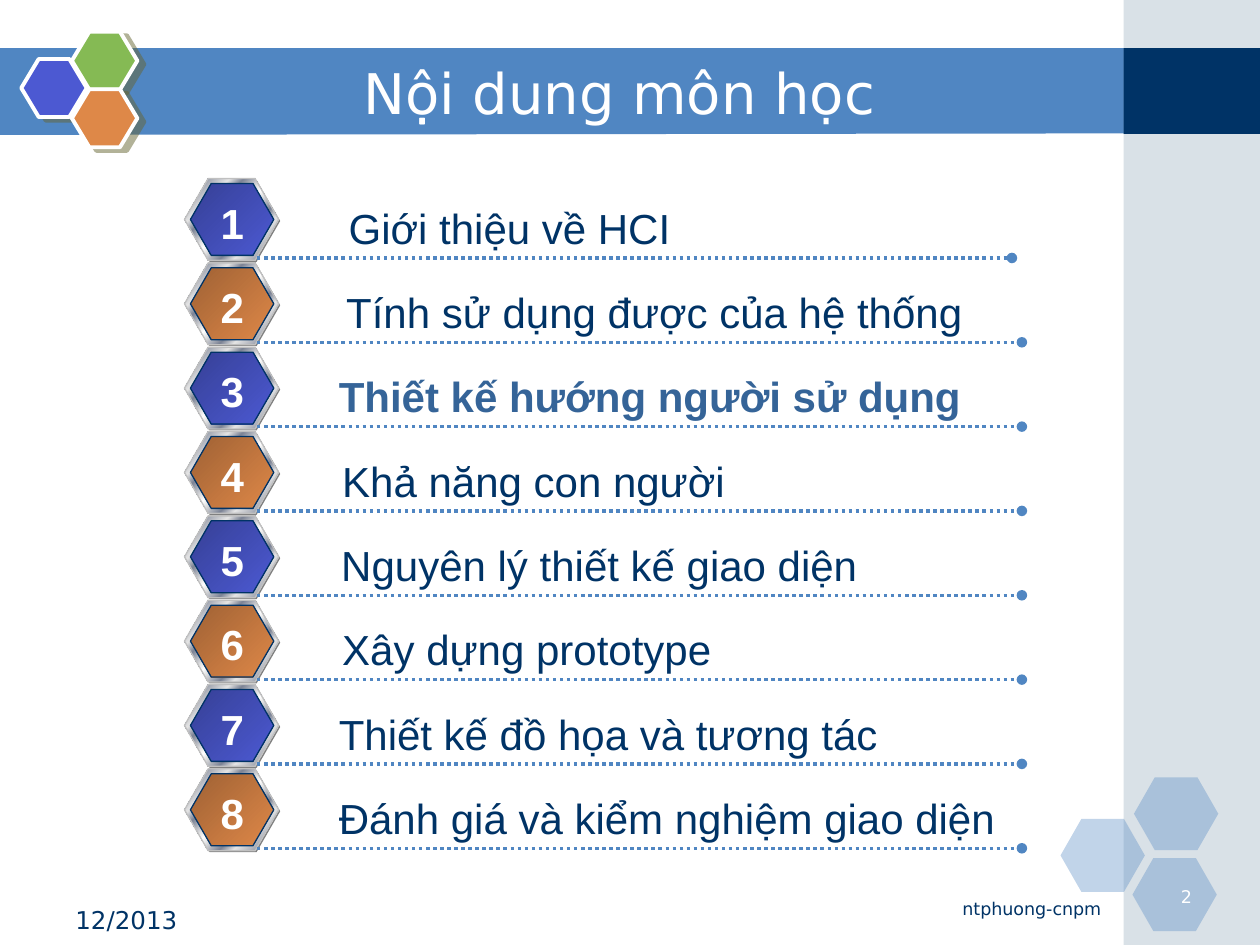
from dataclasses import dataclass

from lxml import etree
from pptx import Presentation
from pptx.dml.color import RGBColor
from pptx.enum.dml import MSO_LINE
from pptx.enum.shapes import MSO_CONNECTOR, MSO_SHAPE
from pptx.enum.text import MSO_ANCHOR, MSO_AUTO_SIZE, PP_ALIGN
from pptx.oxml.ns import qn
from pptx.util import Cm, Pt

HEXAGON, RECTANGLE = MSO_SHAPE.HEXAGON, MSO_SHAPE.RECTANGLE
STRAIGHT, DOTTED = MSO_CONNECTOR.STRAIGHT, MSO_LINE.ROUND_DOT
LEFT, CENTER, RIGHT = PP_ALIGN.LEFT, PP_ALIGN.CENTER, PP_ALIGN.RIGHT
TOP, MIDDLE = MSO_ANCHOR.TOP, MSO_ANCHOR.MIDDLE
FIT_SHAPE, NO_FIT = MSO_AUTO_SIZE.SHAPE_TO_FIT_TEXT, MSO_AUTO_SIZE.NONE
TITLE_ONLY = 5


@dataclass(frozen=True)
class Theme:
    navy: str = "003366"
    blue: str = "5086C2"
    highlight: str = "356498"
    white: str = "FFFFFF"
    panel: str = "A0B5C4"
    indigo: str = "4C59D2"
    green: str = "85BA54"
    orange: str = "DE8848"
    shadow: str = "666633"
    badge_back: str = "808080"
    badge_rim: str = "C0C0C0"
    indigo_fade: tuple = ((0, "364096"), (100, "4C59D2"))
    orange_fade: tuple = ((0, "9F6134"), (100, "DE8848"))
    metal: tuple = (
        (0, "E6E6E6"), (8, "7D8496"), (26, "E6E6E6"), (34, "7D8496"),
        (46, "E6E6E6"), (50, "FFFFFF"), (54, "E6E6E6"), (66, "7D8496"),
        (74, "E6E6E6"), (93, "7D8496"), (100, "E6E6E6"),
    )
    heading_font: str = "DejaVu Sans"
    list_font: str = "Arial"
    title_size: int = 32
    list_size: int = 24
    date_size: int = 14
    small_size: int = 10


THEME = Theme()

# Topic, left and width of its label in cm
TOPICS = [
    ("Giới thiệu về HCI", 6.78, 7.06),
    ("Tính sử dụng được của hệ thống", 6.73, 13.06),
    ("Thiết kế hướng người sử dụng", 6.58, 13.16),
    ("Khả năng con người", 6.65, 8.31),
    ("Nguyên lý thiết kế giao diện", 6.63, 11.02),
    ("Xây dựng prototype", 6.65, 8.26),
    ("Thiết kế đồ họa và tương tác", 6.58, 11.48),
    ("Đánh giá và kiểm nghiệm giao diện", 6.58, 13.89),
]
CURRENT_TOPIC = 3
ROW_TOP, ROW_PITCH = 3.6, 1.7


def set_values(target, values):
    for name, value in values.items():
        setattr(target, name, value)


def add_xml(parent, tag, **attributes):
    child = etree.SubElement(parent, qn(tag))
    for name, value in attributes.items():
        child.set(name, str(value))
    return child


def paint(shape, fill, line=None, alpha=None):
    """Fill with one colour or with gradient stops, then set the outline."""
    properties = shape.element.spPr
    if isinstance(fill, str):
        shape.fill.solid()
        shape.fill.fore_color.rgb = RGBColor.from_string(fill)
        if alpha is not None:
            add_xml(next(properties.iter(qn("a:srgbClr"))), "a:alpha", val=alpha * 1000)
    else:
        shape.fill.gradient()
        shape.fill.gradient_angle = 315
        stops = next(properties.iter(qn("a:gsLst")))
        stops.clear()
        for position, colour in fill:
            stop = add_xml(stops, "a:gs", pos=position * 1000)
            add_xml(stop, "a:srgbClr", val=colour)
    if line:
        colour, width = line
        shape.line.color.rgb = RGBColor.from_string(colour)
        shape.line.width = Pt(width)
    else:
        shape.line.fill.background()
    shape.shadow.inherit = False


def add_block(shapes, kind, bounds, fill, line=None, alpha=None, corner=None):
    shape = shapes.add_shape(kind, *map(Cm, bounds))
    if corner is not None:
        shape.adjustments[0] = corner
    paint(shape, fill, line, alpha)
    return shape


def write(box, text, size, font, colour, align=LEFT, bold=False, wrap=True,
          anchor=TOP, fit=NO_FIT):
    frame = box.text_frame
    set_values(frame, {"word_wrap": wrap, "auto_size": fit, "vertical_anchor": anchor})
    para = frame.paragraphs[0]
    para.alignment = align
    span = para.add_run()
    span.text = text
    set_values(span.font, {"size": Pt(size), "name": font, "bold": bold})
    span.font.color.rgb = RGBColor.from_string(colour)


def add_text(page, bounds, *content, **style):
    write(page.shapes.add_textbox(*map(Cm, bounds)), *content, **style)


def add_backdrop(page):
    # Title band and side panel
    outline = [(-0.03, 0.97), (22.73, 0.97), (22.73, 2.69), (-0.03, 2.72)]
    points = [(Cm(x), Cm(y)) for x, y in outline]
    builder = page.shapes.build_freeform(*points[0])
    builder.add_line_segments(points[1:], close=True)
    paint(builder.convert_to_shape(), THEME.blue)
    add_block(page.shapes, RECTANGLE, (22.65, 0, 2.75, 19.05), THEME.panel, alpha=40)
    add_block(page.shapes, RECTANGLE, (22.65, 0.97, 2.75, 1.73), THEME.navy)

    # Pale hexagons in the lower corner
    for left, top in ((21.38, 16.51), (22.86, 15.67), (22.83, 17.3)):
        add_block(page.shapes, HEXAGON, (left, top, 1.7, 1.47), THEME.blue,
                  alpha=35, corner=0.286)

    # Coloured hexagons with a shadow on the title band
    cluster = page.shapes.add_group_shape().shapes
    for left, top, colour in ((0.43, 1.19, THEME.indigo), (1.45, 0.64, THEME.green),
                              (1.45, 1.8, THEME.orange)):
        tile = add_block(cluster, HEXAGON, (left, top, 1.32, 1.17), colour,
                         line=(THEME.white, 2.25), corner=0.3)
        effects = tile.element.spPr.find(qn("a:effectLst"))
        shadow = add_xml(effects, "a:outerShdw", blurRad=0, dist=Pt(4.5),
                         dir=27 * 60000, algn="ctr", rotWithShape=0)
        add_xml(add_xml(shadow, "a:srgbClr", val=THEME.shadow), "a:alpha", val=50000)


def add_title(page, text):
    title = page.shapes.title
    bounds = {"left": 3.18, "top": 1.07, "width": 18.62, "height": 1.57}
    set_values(title, {name: Cm(value) for name, value in bounds.items()})
    write(title, text, THEME.title_size, THEME.heading_font, THEME.white,
          align=CENTER, anchor=MIDDLE)
    title.element.getparent().append(title.element)  # in front of the band


def add_badge(page, top, fade):
    layers = page.shapes.add_group_shape().shapes
    for bounds, fill, line in (
        ((3.75, top + 0.03, 1.9, 1.65), THEME.badge_back, None),
        ((3.72, top, 1.9, 1.65), THEME.metal, (THEME.badge_rim, 0.75)),
        ((3.84, top + 0.1, 1.68, 1.45), fade, (THEME.navy, 0.75)),
    ):
        add_block(layers, HEXAGON, bounds, fill, line, corner=0.289)


def add_rule(page, y, right):
    rule = page.shapes.add_connector(STRAIGHT, Cm(5.18), Cm(y), Cm(right), Cm(y))
    rule.line.color.rgb = RGBColor.from_string(THEME.blue)
    set_values(rule.line, {"width": Pt(2), "dash_style": DOTTED})
    properties = rule.element.spPr
    add_xml(properties.find(qn("a:ln")), "a:tailEnd", type="oval")
    add_xml(properties, "a:effectLst")


def add_topic(page, number, topic, left, width):
    top = ROW_TOP + (number - 1) * ROW_PITCH
    current = number == CURRENT_TOPIC
    style = {"wrap": False, "fit": FIT_SHAPE}
    add_badge(page, top, THEME.indigo_fade if number % 2 else THEME.orange_fade)
    add_rule(page, top + 1.6, 20.4 if number == 1 else 20.6)
    add_text(page, (left, top + 0.35, width, 1.27), topic, THEME.list_size, THEME.list_font,
             THEME.highlight if current else THEME.navy, bold=current, **style)
    add_text(page, (4.19, top + 0.25, 0.99, 1.27), str(number), THEME.list_size,
             THEME.list_font, THEME.white, align=CENTER, bold=True, **style)


def add_footer(page):
    font = THEME.heading_font
    add_text(page, (1.27, 18.11, 5.92, 0.69), "12/2013", THEME.date_size, font, THEME.navy)
    add_text(page, (23.01, 17.73, 1.27, 0.64), "2", THEME.small_size, font, THEME.white,
             align=RIGHT)
    add_text(page, (14.4, 17.98, 8.05, 0.66), "ntphuong-cnpm", THEME.small_size, font,
             THEME.navy, align=RIGHT)


def main():
    deck = Presentation()
    set_values(deck, {"slide_width": Cm(25.4), "slide_height": Cm(19.05)})
    page = deck.slides.add_slide(deck.slide_layouts[TITLE_ONLY])
    add_backdrop(page)
    add_title(page, "Nội dung môn học")
    add_footer(page)
    for number, (topic, left, width) in enumerate(TOPICS, start=1):
        add_topic(page, number, topic, left, width)
    deck.save("out.pptx")


if __name__ == "__main__":
    main()
